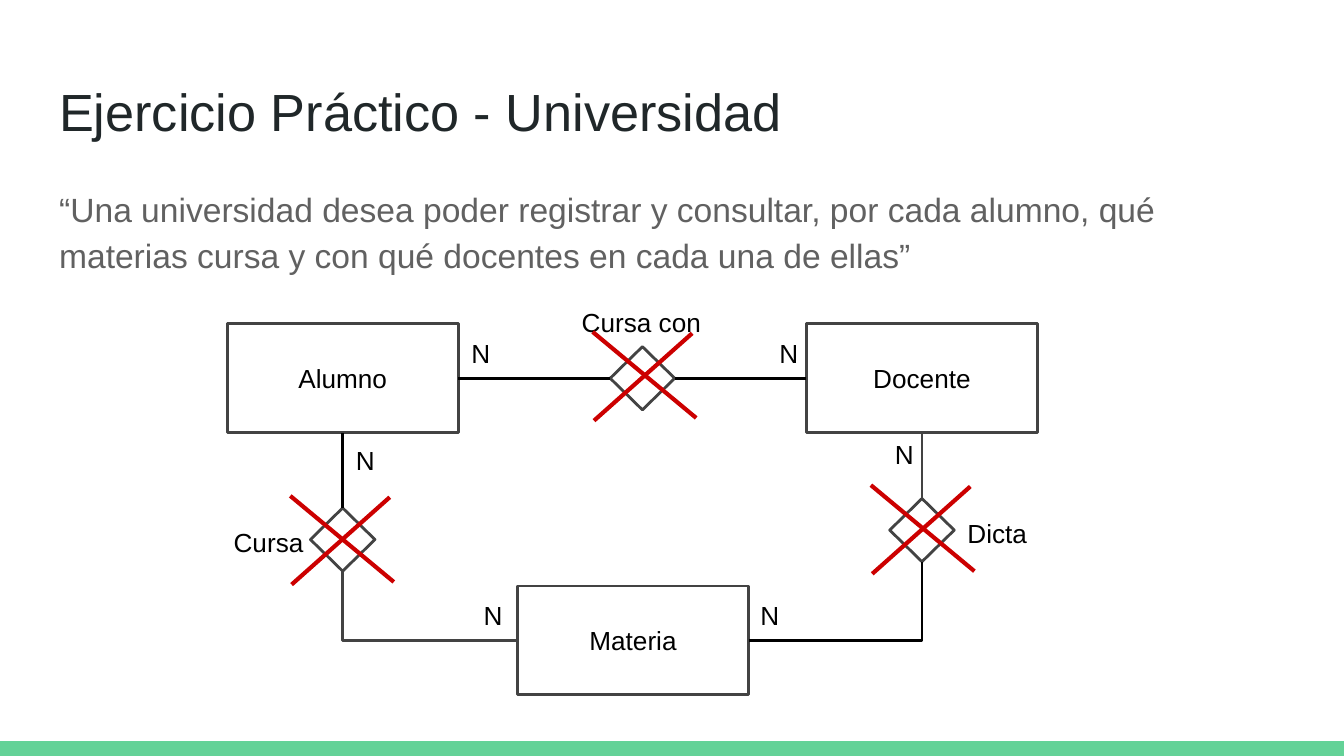
from dataclasses import dataclass

from lxml.etree import SubElement
from pptx import Presentation
from pptx.dml.color import RGBColor
from pptx.enum.shapes import MSO_CONNECTOR as Line, MSO_SHAPE as Kind
from pptx.enum.text import MSO_ANCHOR as Anchor, MSO_AUTO_SIZE as AutoSize, PP_ALIGN as Align
from pptx.oxml.ns import qn
from pptx.shapes.autoshape import Shape
from pptx.shapes.connector import Connector
from pptx.slide import Slide
from pptx.util import Inches, Pt


@dataclass(frozen=True)
class Theme:
    font: str = "Arial"
    title: str = "202729"
    body: str = "616161"
    ink: str = "000000"
    outline: str = "434343"
    cross: str = "CC0000"
    bar: str = "63D297"
    title_size: float = 28
    body_size: float = 18
    label_size: float = 14
    line_width: float = 1.5
    cross_width: float = 2.25


@dataclass(frozen=True)
class Entity:
    name: str
    left: float
    top: float


@dataclass(frozen=True)
class Label:
    text: str
    left: float
    top: float
    width: float = 0.3
    height: float = 0.47


@dataclass(frozen=True)
class Relation:
    name: str
    left: float
    top: float
    cross_left: float
    cross_top: float


@dataclass(frozen=True)
class Link:
    start: str
    start_side: int
    end: str
    end_side: int
    color: str
    bent: bool = False


THEME = Theme()
TOP, LEFT, BOTTOM, RIGHT = range(4)
SLIDE_WIDTH = 10
SLIDE_HEIGHT = SLIDE_WIDTH * 9 / 16
BAR_HEIGHT = 0.11
ENTITY_SIZE = (1.72, 0.81)
DIAMOND_SIZE = (0.48, 0.47)
CROSS_STROKES = ((0, 0, 0.77, 0.64), (0.74, 0.01, 0.01, 0.66))

ENTITIES = (
    Entity("Alumno", 1.69, 2.41),
    Entity("Docente", 6, 2.41),
    Entity("Materia", 3.85, 4.36),
)
RELATIONS = (
    Relation("Cursa", 2.31, 3.78, 2.16, 3.69),
    Relation("Dicta", 6.62, 3.71, 6.48, 3.61),
    Relation("Cursa con", 4.54, 2.58, 4.41, 2.47),
)
LINKS = (
    Link("Cursa", TOP, "Alumno", BOTTOM, THEME.ink),
    Link("Materia", LEFT, "Cursa", BOTTOM, THEME.outline, bent=True),
    Link("Dicta", TOP, "Docente", BOTTOM, THEME.outline),
    Link("Materia", RIGHT, "Dicta", BOTTOM, THEME.ink, bent=True),
    Link("Cursa con", LEFT, "Alumno", RIGHT, THEME.ink),
    Link("Cursa con", RIGHT, "Docente", LEFT, THEME.ink),
)
LABELS = (
    Label("Cursa", 1.64, 3.82, 0.87, 0.4),
    Label("Dicta", 7.1, 3.75, 1.13, 0.4),
    Label("Cursa con", 4.23, 2.18, 1.13, 0.4),
    Label("N", 2.55, 3.21),
    Label("N", 3.5, 4.36),
    Label("N", 5.56, 4.36),
    Label("N", 6.56, 3.16),
    Label("N", 3.41, 2.41),
    Label("N", 5.7, 2.41),
)


def write(box: Shape, text: str, size: float, color: str,
          align: Align = Align.LEFT, anchor: Anchor = Anchor.TOP) -> None:
    frame = box.text_frame
    frame.text = text
    margins = {f"margin_{side}": Inches(0.1) for side in ("left", "top", "right", "bottom")}
    settings = {"word_wrap": True, "auto_size": AutoSize.NONE, "vertical_anchor": anchor, **margins}
    for name, value in settings.items():
        setattr(frame, name, value)
    para = frame.paragraphs[0]
    para.alignment = align
    font = para.runs[0].font
    for name, value in {"name": THEME.font, "size": Pt(size)}.items():
        setattr(font, name, value)
    font.color.rgb = RGBColor.from_string(color)


def place(box: Shape, left: float, top: float, width: float, height: float) -> None:
    for name, value in {"left": left, "top": top, "width": width, "height": height}.items():
        setattr(box, name, Inches(value))


def add_outline(slide: Slide, kind: Kind, left: float, top: float,
                size: tuple[float, float]) -> Shape:
    shape = slide.shapes.add_shape(kind, Inches(left), Inches(top), *map(Inches, size))
    shape.shadow.inherit = False
    shape.fill.background()
    shape.line.color.rgb = RGBColor.from_string(THEME.outline)
    shape.line.width = Pt(THEME.line_width)
    return shape


def add_line(slide: Slide, ends: tuple[float, ...], color: str, width: float,
             kind: Line = Line.STRAIGHT) -> Connector:
    line = slide.shapes.add_connector(kind, *map(Inches, ends))
    line.line.color.rgb = RGBColor.from_string(color)
    line.line.width = Pt(width)
    SubElement(line._element.spPr, qn("a:effectLst"))
    return line


def add_link(slide: Slide, link: Link, nodes: dict[str, Shape]) -> None:
    """Join two nodes; a bent link leaves sideways and turns once."""
    kind = Line.ELBOW if link.bent else Line.STRAIGHT
    line = add_line(slide, (0, 0, 0, 0), link.color, THEME.line_width, kind)
    if link.bent:
        line._element.spPr.find(qn("a:prstGeom")).set("prst", "bentConnector2")
    line.begin_connect(nodes[link.start], link.start_side)
    line.end_connect(nodes[link.end], link.end_side)


def add_bar(slide: Slide) -> None:
    bar = add_outline(slide, Kind.RECTANGLE, 0, SLIDE_HEIGHT - BAR_HEIGHT,
                      (SLIDE_WIDTH, BAR_HEIGHT))
    bar.fill.solid()
    bar.fill.fore_color.rgb = RGBColor.from_string(THEME.bar)
    bar.line.fill.background()


def add_heading(slide: Slide) -> None:
    title, body = slide.shapes.title, slide.placeholders[1]
    place(title, 0.34, 0.49, 9.32, 0.63)
    write(title, "Ejercicio Práctico - Universidad", THEME.title_size, THEME.title)
    place(body, 0.34, 1.26, 9.32, 3.74)
    write(body, "“Una universidad desea poder registrar y consultar, por cada alumno, "
          "qué materias cursa y con qué docentes en cada una de ellas”",
          THEME.body_size, THEME.body)
    para = body.text_frame.paragraphs[0]
    for name, value in {"line_spacing": 1.15, "space_before": Pt(0), "space_after": Pt(16)}.items():
        setattr(para, name, value)
    properties = para._p.get_or_add_pPr()
    for name in ("marL", "indent"):
        properties.set(name, "0")
    SubElement(properties, qn("a:buNone"))


def add_diagram(slide: Slide) -> None:
    nodes: dict[str, Shape] = {}
    for entity in ENTITIES:
        box = add_outline(slide, Kind.RECTANGLE, entity.left, entity.top, ENTITY_SIZE)
        write(box, entity.name, THEME.label_size, THEME.ink, Align.CENTER, Anchor.MIDDLE)
        nodes[entity.name] = box
    for relation in RELATIONS:
        nodes[relation.name] = add_outline(
            slide, Kind.FLOWCHART_DECISION, relation.left, relation.top, DIAMOND_SIZE)
    for link in LINKS:
        add_link(slide, link, nodes)
    for label in LABELS:
        area = map(Inches, (label.left, label.top, label.width, label.height))
        write(slide.shapes.add_textbox(*area), label.text, THEME.label_size, THEME.ink)
    for relation in RELATIONS:
        x, y = relation.cross_left, relation.cross_top
        for x1, y1, x2, y2 in CROSS_STROKES:
            add_line(slide, (x + x1, y + y1, x + x2, y + y2), THEME.cross, THEME.cross_width)


def main() -> None:
    deck = Presentation()
    deck.slide_width, deck.slide_height = Inches(SLIDE_WIDTH), Inches(SLIDE_HEIGHT)
    slide = deck.slides.add_slide(deck.slide_layouts[1])
    add_bar(slide)
    add_heading(slide)
    add_diagram(slide)
    deck.save("out.pptx")


if __name__ == "__main__":
    main()
